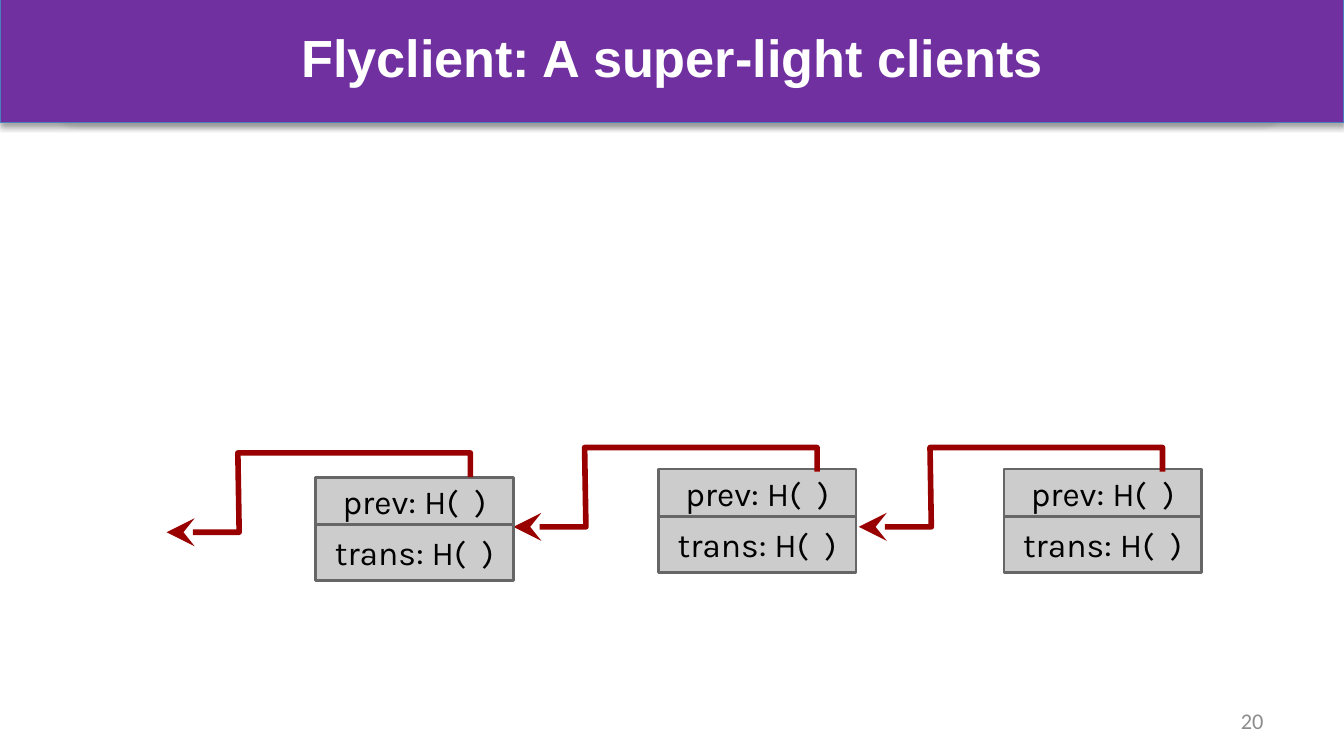
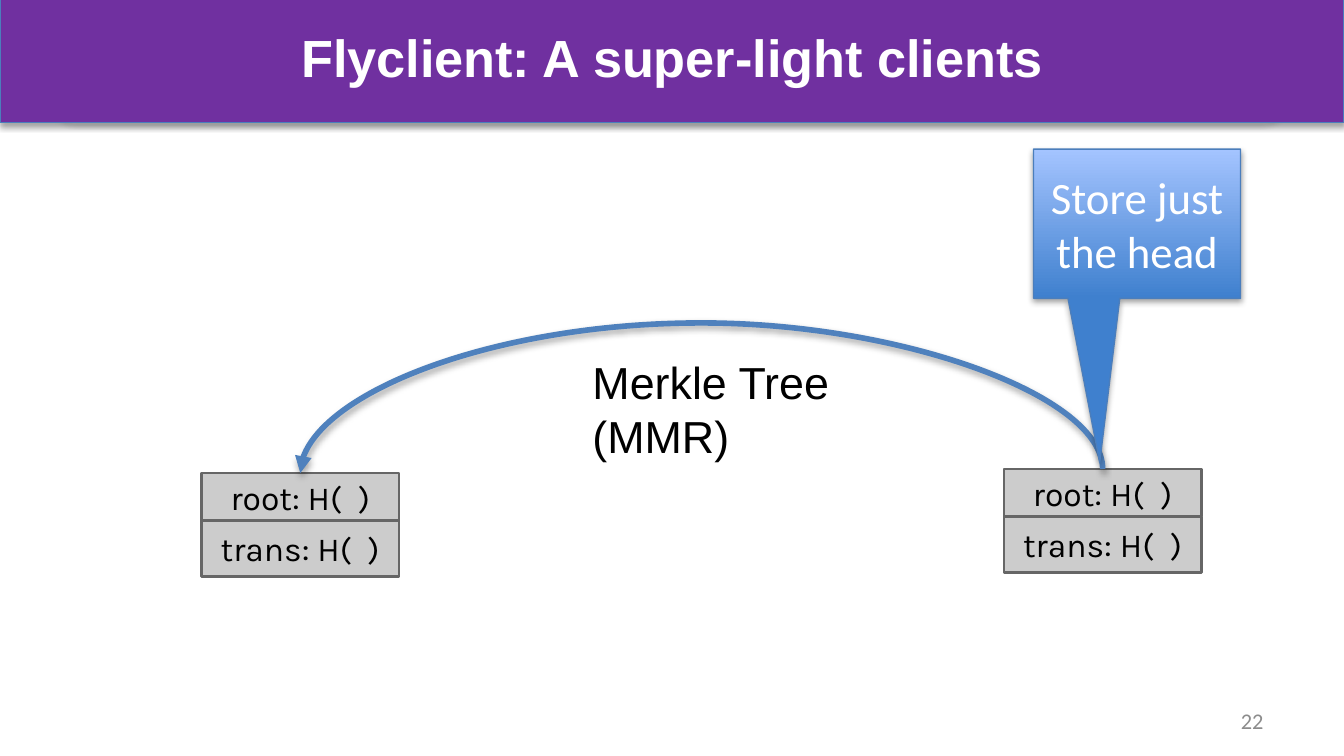
"""Builds two slides on the Flyclient super-light client."""
import pptx
import pptx.dml.color
import pptx.enum.shapes
import pptx.enum.text
import pptx.oxml
import pptx.oxml.ns
import pptx.util
from lxml import etree

Inches, Pt = pptx.util.Inches, pptx.util.Pt
SHAPE = pptx.enum.shapes.MSO_SHAPE
ALIGN = pptx.enum.text.PP_ALIGN
ANCHOR = pptx.enum.text.MSO_ANCHOR
qn = pptx.oxml.ns.qn

COLORS = {
    "band": "7030A0", "band_edge": "4B7EBC", "frame": "7D60A0",
    "block": "CCCCCC", "block_edge": "666666", "pointer": "990000",
    "arc": "4F81BD", "callout_low": "3F80CE", "callout_high": "A4C4FF",
    "white": "FFFFFF", "black": "000000", "number": "8C8C8C",
}
TITLE = "Flyclient: A super-light clients"
TRANSACTIONS = "trans: H(  )"
CHAIN = {
    "number": "20",
    "label": "prev: H(  )",
    "blocks": [(4.9, 3.49), (2.35, 3.55), (7.47, 3.49)],
    "pointers": [(6.08, 3.51), (3.5, 3.55), (8.65, 3.51)],
}
TREE = {
    "number": "22",
    "label": "root: H(  )",
    "blocks": [(1.5, 3.52), (7.47, 3.49)],
    "callout": "Store just the head",
    "caption": "Merkle Tree (MMR)",
}
BLOCK_WIDTH, HEADER_HEIGHT, BODY_HEIGHT = 1.47, 0.35, 0.42
POINTER_STEPS = [(0, -0.18), (-1.73, -0.18), (-1.72, 0.41), (-2.26, 0.41)]
ARC_RISE = 1.09


def rgb(name):
    return pptx.dml.color.RGBColor.from_string(COLORS[name])


def write(shape, text, size, font, color, align, anchor=ANCHOR.MIDDLE, bold=False):
    frame = shape.text_frame
    frame.word_wrap = True
    frame.vertical_anchor = anchor
    paragraph = frame.paragraphs[0]
    paragraph.alignment = align
    run = paragraph.add_run()
    run.text = text
    run.font.size = Pt(size)
    run.font.name = font
    run.font.bold = bold
    run.font.color.rgb = rgb(color)
    return frame


def add_text(slide, area, *style, **options):
    return write(slide.shapes.add_textbox(*map(Inches, area)), *style, **options)


def set_line(shape, color, width):
    shape.line.color.rgb = rgb(color)
    shape.line.width = Pt(width)


def add_box(shapes, kind, area, edge, width, fill=None):
    box = shapes.add_shape(kind, *map(Inches, area))
    box.shadow.inherit = False
    if fill:
        box.fill.solid()
        box.fill.fore_color.rgb = rgb(fill)
    else:
        box.fill.background()
    set_line(box, edge, width)
    return box


def cast_shadow(shape):
    properties = shape.element.spPr
    effects = properties.find(qn("a:effectLst"))
    if effects is None:
        effects = etree.SubElement(properties, qn("a:effectLst"))
    effects.append(pptx.oxml.parse_xml(
        f'<a:outerShdw {pptx.oxml.ns.nsdecls("a")} blurRad="40000" dist="23000" '
        'dir="5400000" rotWithShape="0"><a:srgbClr val="000000">'
        '<a:alpha val="35000"/></a:srgbClr></a:outerShdw>'))


def add_arrowhead(shape, kind, size):
    line = shape.element.spPr.find(qn("a:ln"))
    etree.SubElement(line, qn("a:tailEnd"), type=kind, w=size, len=size)


def add_page(deck, number):
    slide = deck.slides.add_slide(deck.slide_layouts[6])
    cast_shadow(add_box(slide.shapes, SHAPE.ROUNDED_RECTANGLE,
                        (0.4, 0, 9.13, 0.89), "frame", 0.75))
    cast_shadow(add_box(slide.shapes, SHAPE.RECTANGLE,
                        (0, -0.01, 10, 0.92), "band_edge", 0.75, "band"))
    title = add_text(slide, (0.5, 0.14, 9, 0.68), TITLE, 28, "Arial", "white",
                     ALIGN.CENTER, anchor=ANCHOR.TOP, bold=True)
    title.word_wrap = False
    add_text(slide, (7.17, 5.21, 2.33, 0.3), number, 12, "Calibri", "number", ALIGN.RIGHT)
    return slide


def add_block(slide, left, top, label):
    group = slide.shapes.add_group_shape()
    rows = [(top + HEADER_HEIGHT, BODY_HEIGHT, TRANSACTIONS), (top, HEADER_HEIGHT, label)]
    for row_top, height, text in rows:
        row = add_box(group.shapes, SHAPE.RECTANGLE,
                      (left, row_top, BLOCK_WIDTH, height), "block_edge", 1.5, "block")
        frame = write(row, text, 18, "Karla", "black", ALIGN.CENTER)
        frame.margin_left = frame.margin_right = Inches(0.1)
        frame.margin_top = frame.margin_bottom = Inches(0.1)
    return row


def add_pointer(slide, x, y):
    outline = slide.shapes.build_freeform(Inches(x), Inches(y))
    outline.add_line_segments(
        [(Inches(x + dx), Inches(y + dy)) for dx, dy in POINTER_STEPS], close=False)
    pointer = outline.convert_to_shape()
    pointer.shadow.inherit = False
    pointer.fill.background()
    set_line(pointer, "pointer", 3)
    add_arrowhead(pointer, "stealth", "lg")


def add_arc(slide, first, head):
    arc = slide.shapes.add_connector(pptx.enum.shapes.MSO_CONNECTOR.CURVE, 0, 0, 0, 0)
    arc.begin_connect(head, 0)
    arc.end_connect(first, 0)
    span, drop = head.left - first.left, first.top - head.top
    center_x = (head.left + first.left + head.width) // 2
    center_y = (head.top + first.top) // 2
    arc.left, arc.top = center_x - drop // 2, center_y - span // 2
    arc.width, arc.height = drop, span
    properties = arc.element.spPr
    turn = properties.find(qn("a:xfrm"))
    for key, value in (("rot", "16200000"), ("flipH", "1"), ("flipV", "1")):
        turn.set(key, value)
    guides = properties.find(qn("a:prstGeom")).get_or_add_avLst()
    bend = -round(Inches(ARC_RISE) / drop * 100000)
    etree.SubElement(guides, qn("a:gd"), name="adj1", fmla=f"val {bend}")
    set_line(arc, "arc", 3)
    add_arrowhead(arc, "triangle", "med")
    cast_shadow(arc)


def add_callout(slide, text):
    callout = add_box(slide.shapes, SHAPE.RECTANGULAR_CALLOUT,
                      (7.69, 1.11, 1.54, 1.11), "band_edge", 0.75)
    callout.adjustments[0], callout.adjustments[1] = -0.18, 1.6
    callout.fill.gradient()
    callout.fill.gradient_angle = 90
    for stop, color in zip(callout.fill.gradient_stops, ("callout_low", "callout_high")):
        stop.color.rgb = rgb(color)
    cast_shadow(callout)
    write(callout, text, 24, "Calibri", "white", ALIGN.CENTER)


def build_chain(deck):
    slide = add_page(deck, CHAIN["number"])
    for block, pointer in zip(CHAIN["blocks"], CHAIN["pointers"]):
        add_block(slide, *block, CHAIN["label"])
        add_pointer(slide, *pointer)


def build_tree(deck):
    slide = add_page(deck, TREE["number"])
    first, head = [add_block(slide, *block, TREE["label"]) for block in TREE["blocks"]]
    add_arc(slide, first, head)
    add_callout(slide, TREE["callout"])
    caption = add_text(slide, (4.31, 2.59, 2.86, 0.4), TREE["caption"], 24, "Arial",
                       "black", ALIGN.LEFT, anchor=ANCHOR.TOP)
    caption.auto_size = pptx.enum.text.MSO_AUTO_SIZE.SHAPE_TO_FIT_TEXT


def main():
    deck = pptx.Presentation()
    deck.slide_width = Inches(10)
    deck.slide_height = deck.slide_width * 9 // 16
    build_chain(deck)
    build_tree(deck)
    deck.save("out.pptx")


if __name__ == "__main__":
    main()
